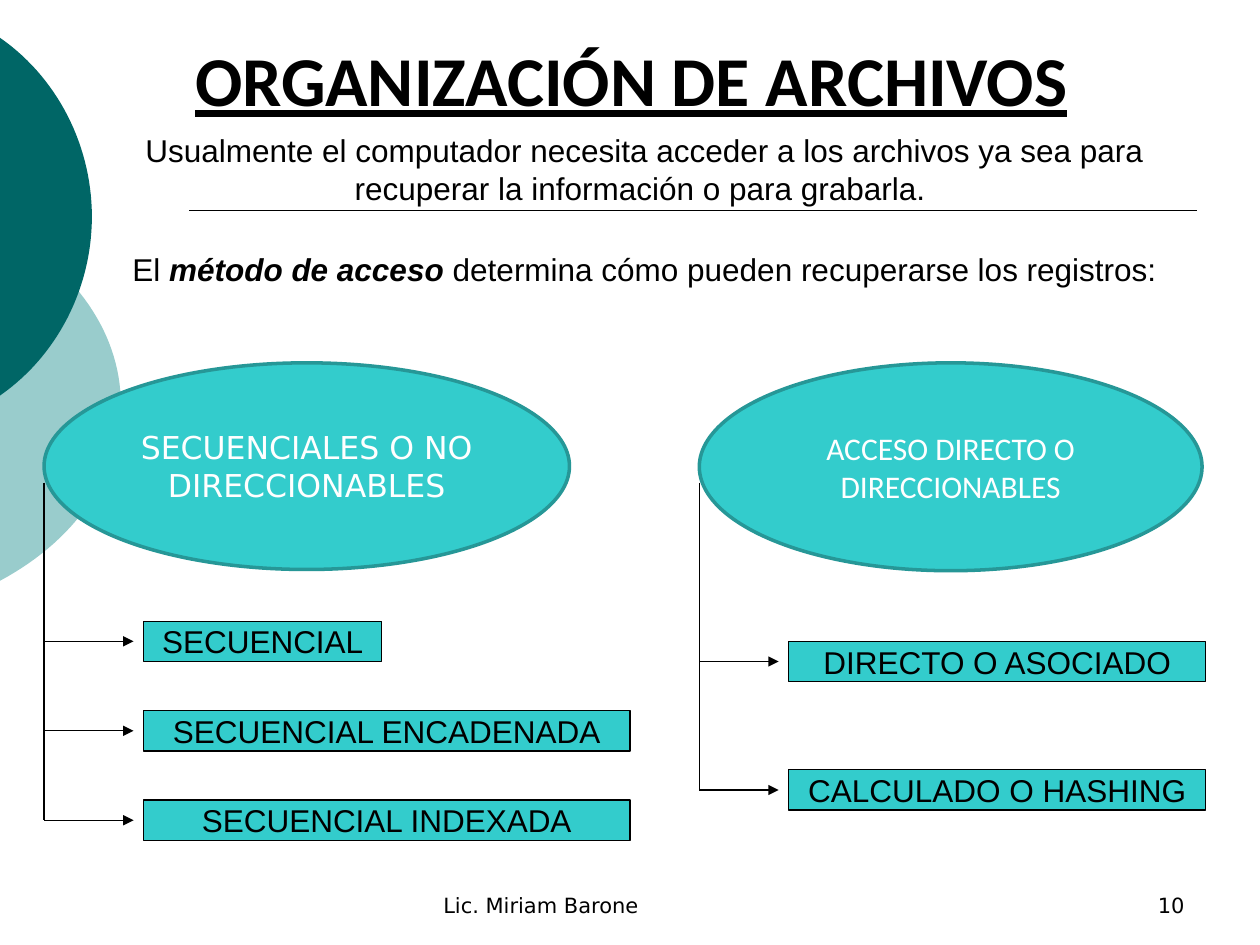
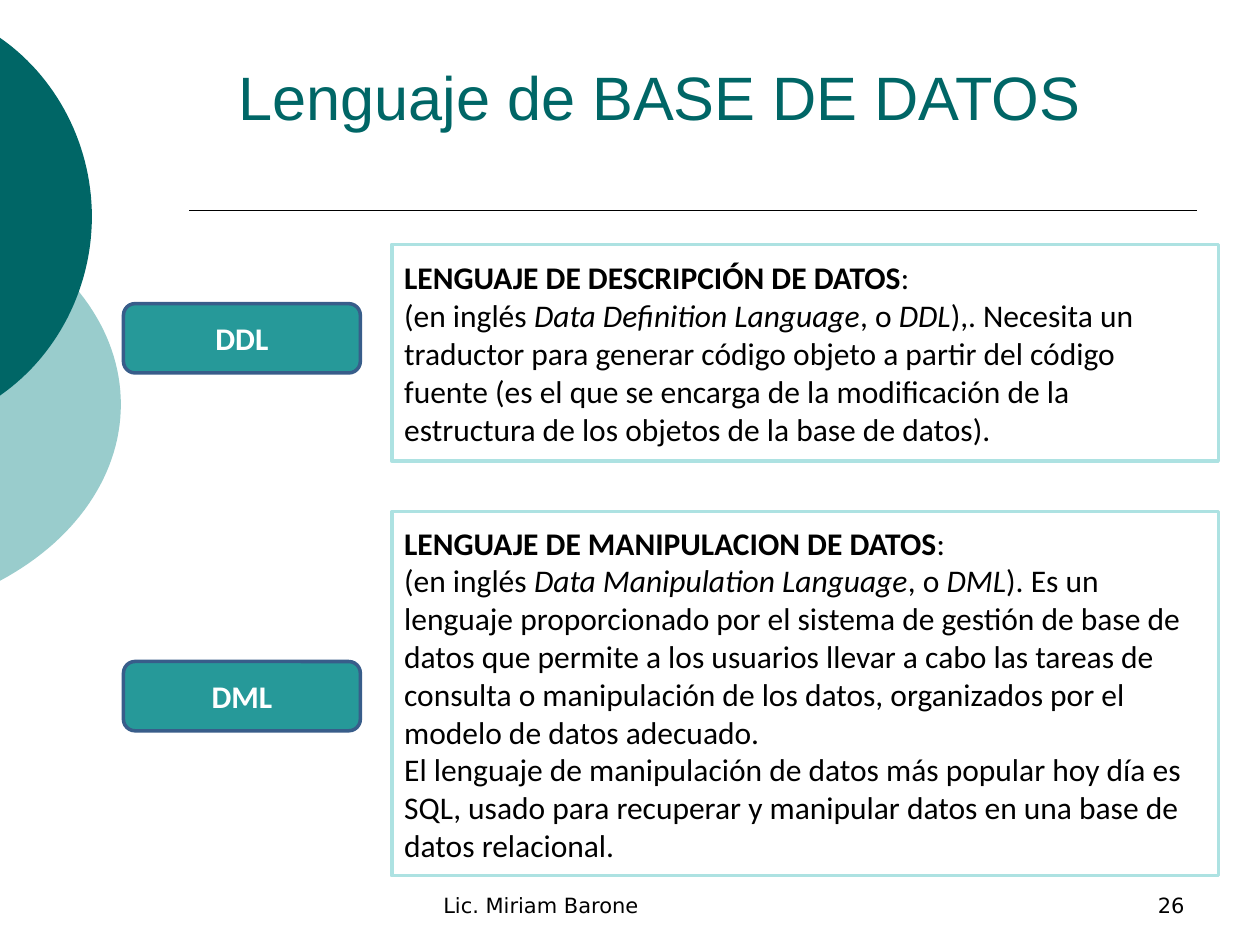
from lxml import etree
from pptx import Presentation
from pptx.dml.color import RGBColor
from pptx.enum.shapes import MSO_CONNECTOR, MSO_SHAPE
from pptx.enum.text import MSO_ANCHOR, MSO_AUTO_SIZE, PP_ALIGN
from pptx.oxml.ns import qn
from pptx.util import Inches, Pt

# Colours and constants
BLACK = RGBColor(0x00, 0x00, 0x00)
WHITE = RGBColor(0xFF, 0xFF, 0xFF)
DARK_TEAL = RGBColor(0x00, 0x66, 0x66)
PALE_TEAL = RGBColor(0x99, 0xCC, 0xCC)
TURQUOISE = RGBColor(0x33, 0xCC, 0xCC)
TURQUOISE_EDGE = RGBColor(0x26, 0x97, 0x97)
TAG_FILL = RGBColor(0x26, 0x99, 0x99)
TAG_EDGE = RGBColor(0x38, 0x5D, 0x8A)
PANEL_EDGE = RGBColor(0xAD, 0xE2, 0xE2)
LEFT, CENTER, RIGHT = PP_ALIGN.LEFT, PP_ALIGN.CENTER, PP_ALIGN.RIGHT
TOP, MIDDLE, BOTTOM = MSO_ANCHOR.TOP, MSO_ANCHOR.MIDDLE, MSO_ANCHOR.BOTTOM
ELLIPSE, RECTANGLE = MSO_SHAPE.OVAL, MSO_SHAPE.RECTANGLE
ROUNDED = MSO_SHAPE.ROUNDED_RECTANGLE
STRAIGHT = MSO_CONNECTOR.STRAIGHT
SANS, HUMANIST, FOOTER_FONT = "Arial", "Calibri", "DejaVu Sans"

# Content: a paragraph is a list of (text, style) runs; style letters are b, i, u
FOOTER = "Lic. Miriam Barone"
FILES_TITLE = [[("ORGANIZACIÓN DE ARCHIVOS", "bu")]]
FILES_INTRO = [
    [("Usualmente el computador necesita acceder a los archivos ya sea para "
      "recuperar la información o para grabarla. ", "")],
    [("El ", ""), ("método de acceso", "bi"),
     (" determina cómo pueden recuperarse los registros:", "")],
]
ACCESS_METHODS = [
    {"name": "SECUENCIALES O NO DIRECCIONABLES", "font": FOOTER_FONT,
     "ellipse": (0.35, 2.88, 4.17, 1.64), "arrow": 0.71, "first": 5.09, "step": 0.71,
     "kinds": [("SECUENCIAL", 1.89), ("SECUENCIAL ENCADENADA", 3.86),
               ("SECUENCIAL INDEXADA", 3.86)]},
    {"name": "ACCESO DIRECTO O DIRECCIONABLES", "font": HUMANIST,
     "ellipse": (5.55, 2.88, 3.99, 1.65), "arrow": 0.63, "first": 5.25, "step": 1.02,
     "kinds": [("DIRECTO O ASOCIADO", 3.31), ("CALCULADO O HASHING", 3.31)]},
]
LANGUAGE_TITLE = [[("Lenguaje de BASE DE DATOS", "")]]
LANGUAGES = [
    {"tag": "DDL", "tag_top": 2.41, "top": 1.94, "height": 1.72, "text": [
        [("LENGUAJE DE DESCRIPCIÓN DE DATOS", "b"), (":", "")],
        [("(en inglés ", ""), ("Data Definition Language", "i"), (", o ", ""), ("DDL", "i"),
         ("),. Necesita un traductor para generar código objeto a partir del código "
          "fuente (es el que se encarga de la modificación de la estructura de los "
          "objetos de la base de datos).", "")]]},
    {"tag": "DML", "tag_top": 5.25, "top": 4.06, "height": 2.89, "text": [
        [("LENGUAJE DE MANIPULACION DE DATOS", "b"), (":", "")],
        [("(en inglés ", ""), ("Data Manipulation Language", "i"), (", o ", ""), ("DML", "i"),
         ("). Es un lenguaje proporcionado por el sistema de gestión de base de datos "
          "que permite a los usuarios llevar a cabo las tareas de consulta o "
          "manipulación de los datos, organizados por el modelo de datos adecuado.", "")],
        [("El lenguaje de manipulación de datos más popular hoy día es SQL, usado para "
          "recuperar y manipular datos en una base de datos relacional.", "")]]},
]

# Circle segments at the left edge: upper half as a Bézier curve, mirrored below
CRESCENTS = [
    (PALE_TEAL, [(0, 1.81), (0.6, 2.13), (0.96, 2.65), (0.96, 3.21)]),
    (DARK_TEAL, [(0, 0.3), (0.46, 0.62), (0.73, 1.16), (0.73, 1.72)]),
]
CURVE_STEPS = 30


def write_text(shape, paragraphs, font=SANS, size=18, color=BLACK, align=CENTER,
               anchor=MIDDLE, wrap=True, gap=0):
    frame = shape.text_frame
    frame.auto_size = MSO_AUTO_SIZE.NONE
    frame.word_wrap = wrap
    frame.vertical_anchor = anchor
    for index, runs in enumerate(paragraphs):
        paragraph = frame.add_paragraph() if index else frame.paragraphs[0]
        paragraph.alignment = align
        paragraph.space_before = Pt(gap if index else 0)
        for text, style in runs:
            run = paragraph.add_run()
            run.text = text
            run.font.name, run.font.size = font, Pt(size)
            run.font.color.rgb = color
            run.font.bold = "b" in style
            run.font.italic = "i" in style
            run.font.underline = "u" in style


def add_box(slide, kind, place, fill, edge, width):
    shape = slide.shapes.add_shape(kind, *map(Inches, place))
    shape.shadow.inherit = False
    shape.fill.solid()
    shape.fill.fore_color.rgb = fill
    shape.line.color.rgb = edge
    shape.line.width = Pt(width)
    return shape


def add_text(slide, place, paragraphs, **text_format):
    write_text(slide.shapes.add_textbox(*map(Inches, place)), paragraphs, **text_format)


def add_line(slide, start, end, width=0.75, arrow=False):
    line = slide.shapes.add_connector(STRAIGHT, *map(Inches, start + end))
    line.line.color.rgb = BLACK
    line.line.width = Pt(width)
    properties = line._element.spPr
    if arrow:
        etree.SubElement(properties.find(qn("a:ln")), qn("a:tailEnd"), type="triangle")
    etree.SubElement(properties, qn("a:effectLst"))


def add_crescent(slide, color, controls):
    upper = []
    for step in range(CURVE_STEPS + 1):
        t = step / CURVE_STEPS
        weights = ((1 - t) ** 3, 3 * t * (1 - t) ** 2, 3 * t ** 2 * (1 - t), t ** 3)
        upper.append(tuple(sum(w * point[axis] for w, point in zip(weights, controls))
                           for axis in (0, 1)))
    middle = controls[-1][1]
    lower = [(x, 2 * middle - y) for x, y in reversed(upper[:-1])]
    points = [(Inches(x), Inches(y)) for x, y in upper + lower]
    builder = slide.shapes.build_freeform(*points[0])
    builder.add_line_segments(points[1:], close=True)
    shape = builder.convert_to_shape()
    shape.shadow.inherit = False
    shape.fill.solid()
    shape.fill.fore_color.rgb = color
    shape.line.fill.background()


def add_base_slide(presentation, number, title, title_place, **title_format):
    slide = presentation.slides.add_slide(presentation.slide_layouts[5])
    heading = slide.shapes.title
    heading.left, heading.top, heading.width, heading.height = map(Inches, title_place)
    write_text(heading, title, **title_format)
    for color, controls in CRESCENTS:
        add_crescent(slide, color, controls)
    add_line(slide, (1.5, 1.67), (9.5, 1.67), width=1)
    for place, text, align in (((3.42, 6.83, 3.17, 0.5), FOOTER, LEFT),
                               ((7.17, 6.83, 2.33, 0.5), str(number), RIGHT)):
        add_text(slide, place, [[(text, "")]], font=FOOTER_FONT, size=12,
                 align=align, anchor=BOTTOM)
    return slide


def add_access_method(slide, method):
    left = method["ellipse"][0]
    ellipse = add_box(slide, ELLIPSE, method["ellipse"], TURQUOISE, TURQUOISE_EDGE, 2)
    write_text(ellipse, [[(method["name"], "")]], font=method["font"], color=WHITE)
    # Branches and their boxes
    arrow_end = left + method["arrow"]
    for index, (kind, width) in enumerate(method["kinds"]):
        y = method["first"] + index * method["step"]
        add_line(slide, (left, y), (arrow_end, y), arrow=True)
        box = add_box(slide, RECTANGLE, (arrow_end + 0.08, y - 0.16, width, 0.32),
                      TURQUOISE, BLACK, 0.75)
        write_text(box, [[(kind, "")]], wrap=False)
    add_line(slide, (left, 3.83), (left, y))


def build_files_slide(presentation):
    slide = add_base_slide(presentation, 10, FILES_TITLE, (0.51, 0.28, 9, 0.69),
                           font=HUMANIST, size=40)
    add_text(slide, (0.51, 0.99, 9.21, 1.38), FILES_INTRO, anchor=TOP, gap=25)
    for method in ACCESS_METHODS:
        add_access_method(slide, method)


def build_languages_slide(presentation):
    slide = add_base_slide(presentation, 26, LANGUAGE_TITLE, (1.79, 0.27, 7.51, 0.98),
                           size=35, color=DARK_TEAL, align=LEFT)
    for language in LANGUAGES:
        tag = add_box(slide, ROUNDED, (0.98, language["tag_top"], 1.88, 0.55),
                      TAG_FILL, TAG_EDGE, 2)
        write_text(tag, [[(language["tag"], "b")]], font=HUMANIST, color=WHITE)
        panel = add_box(slide, RECTANGLE, (3.11, language["top"], 6.56, language["height"]),
                        WHITE, PANEL_EDGE, 2)
        write_text(panel, language["text"], font=HUMANIST, align=LEFT)


def main():
    presentation = Presentation()
    presentation.slide_width, presentation.slide_height = Inches(10), Inches(7.5)
    build_files_slide(presentation)
    build_languages_slide(presentation)
    presentation.save("out.pptx")


if __name__ == "__main__":
    main()
